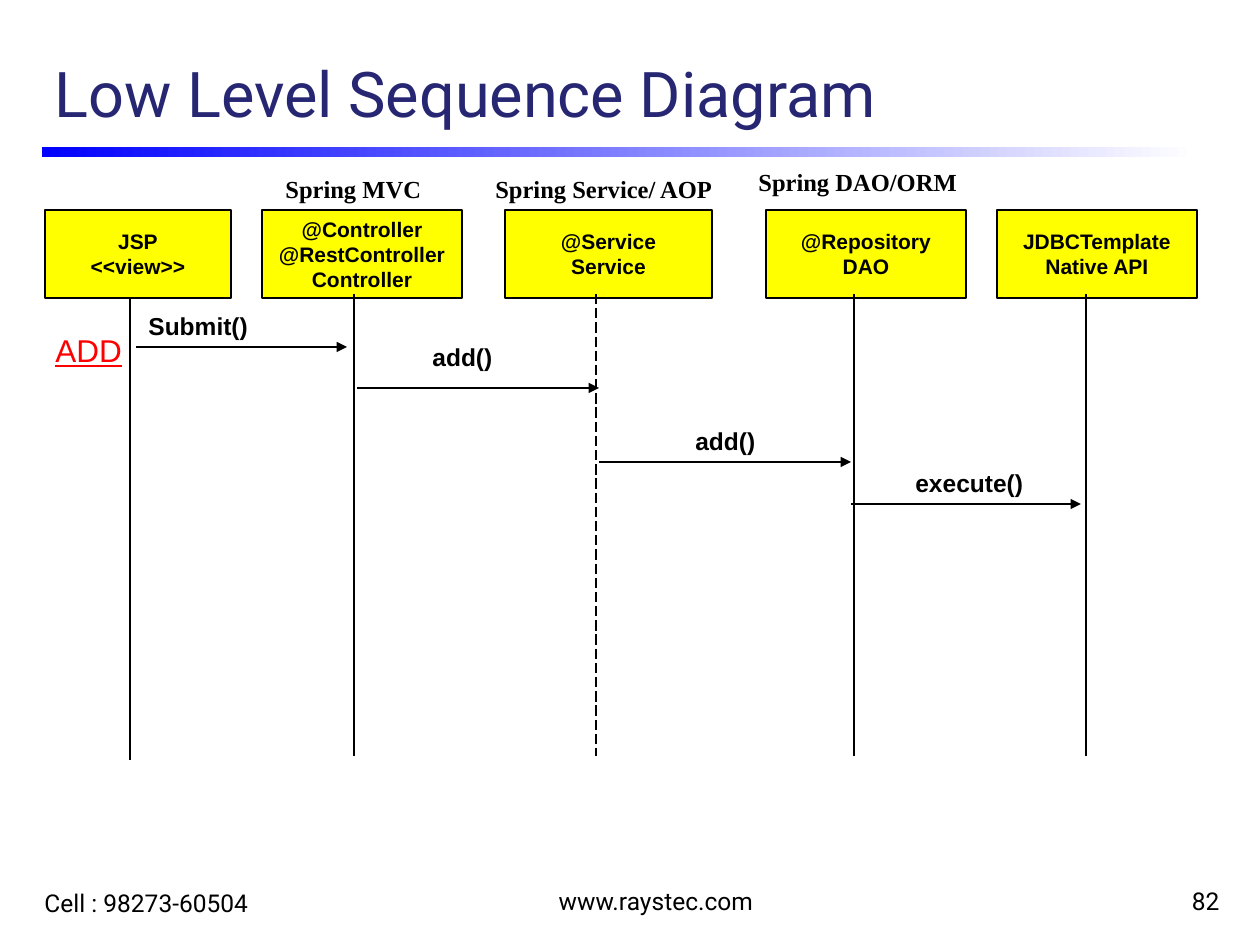
"""Build the low level sequence diagram slide."""
from typing import NamedTuple

from lxml import etree
from pptx import Presentation
from pptx.dml.color import RGBColor
from pptx.enum.dml import MSO_LINE
from pptx.enum.shapes import MSO_CONNECTOR, MSO_SHAPE
from pptx.enum.text import MSO_ANCHOR, MSO_AUTO_SIZE, PP_ALIGN
from pptx.oxml.ns import qn
from pptx.util import Emu, Pt

RECTANGLE = MSO_SHAPE.RECTANGLE
STRAIGHT = MSO_CONNECTOR.STRAIGHT
LONG_DASH = MSO_LINE.LONG_DASH
LEFT, CENTER, RIGHT = PP_ALIGN.LEFT, PP_ALIGN.CENTER, PP_ALIGN.RIGHT
TOP, MIDDLE, BOTTOM = MSO_ANCHOR.TOP, MSO_ANCHOR.MIDDLE, MSO_ANCHOR.BOTTOM
FIT_SHAPE, NO_FIT = MSO_AUTO_SIZE.SHAPE_TO_FIT_TEXT, MSO_AUTO_SIZE.NONE

EMU_PER_PX = 914400 / 126
SLIDE_SIZE = (1260, 945)
LABEL_HEIGHT = 43
BOX_TOP, BOX_HEIGHT = 210, 88
LIFELINE_LENGTH = 462
COLORS = {
    "ink": "000000",
    "title": "262673",
    "box": "FFFF00",
    "action": "FF0000",
    "bar_start": "0000FF",
    "bar_end": "FFFFFF",
}


class Style(NamedTuple):
    """Type style of a text."""
    font: str
    size: int
    bold: bool = False
    color: str = "ink"
    underline: bool = False


class Label(NamedTuple):
    """Text placed freely on the page."""
    text: str
    left: int
    top: int
    width: int
    height: int
    style: Style
    align: PP_ALIGN = LEFT
    anchor: MSO_ANCHOR = TOP
    fit: MSO_AUTO_SIZE = FIT_SHAPE
    wrap: bool = True


class Participant(NamedTuple):
    """Yellow box with its lifeline."""
    lines: tuple[str, ...]
    left: int
    width: int
    lifeline_x: int
    lifeline_top: int = 294
    dashed: bool = False


class Message(NamedTuple):
    """Horizontal arrow between two lifelines."""
    start: int
    end: int
    y: int


TITLE = Style("Roboto", 36, color="title")
FOOTER = Style("Roboto", 14)
CALL = Style("Arial", 14, bold=True)
LAYER = Style("Times New Roman", 14, bold=True)
BOX = Style("Arial", 12, bold=True)
ACTION = Style("Arial", 18, color="action", underline=True)

LABELS = (
    Label("Cell : 98273-60504", 32, 892, 262, 32, FOOTER, LEFT, BOTTOM, NO_FIT),
    Label("www.raystec.com", 336, 892, 640, 30, FOOTER, CENTER, BOTTOM, NO_FIT),
    Label("82", 1008, 892, 224, 30, FOOTER, RIGHT, BOTTOM, NO_FIT),
    Label("Low Level Sequence Diagram", 42, 29, 1191, 107, TITLE, LEFT, BOTTOM, NO_FIT),
    Label("Spring MVC", 273, 168, 231, LABEL_HEIGHT, LAYER),
    Label("Spring Service/ AOP", 483, 168, 252, LABEL_HEIGHT, LAYER),
    Label("Spring DAO/ORM", 746, 161, 231, LABEL_HEIGHT, LAYER),
    Label("ADD", 43, 325, 92, 50, ACTION, wrap=False),
    Label("Submit()", 136, 305, 168, LABEL_HEIGHT, CALL),
    Label("add()", 420, 336, 168, LABEL_HEIGHT, CALL),
    Label("add()", 683, 420, 136, LABEL_HEIGHT, CALL),
    Label("execute()", 903, 462, 136, LABEL_HEIGHT, CALL),
)
PARTICIPANTS = (
    Participant(("JSP", "<<view>>"), 45, 186, 130, lifeline_top=298),
    Participant(("@Controller", "@RestController", "Controller"), 262, 200, 354),
    Participant(("@Service", "Service"), 505, 207, 596, dashed=True),
    Participant(("@Repository", "DAO"), 766, 200, 854),
    Participant(("JDBCTemplate", "Native API"), 997, 200, 1086),
)
MESSAGES = (
    Message(136, 347, 347),
    Message(357, 599, 388),
    Message(599, 851, 462),
    Message(851, 1081, 504),
)


def px(*lengths: int) -> list[Emu]:
    """Turn px lengths into EMU."""
    return [Emu(round(length * EMU_PER_PX)) for length in lengths]


def rgb(name: str) -> RGBColor:
    """Look up a named colour."""
    return RGBColor.from_string(COLORS[name])


def write(frame, lines: tuple[str, ...], style: Style, align: PP_ALIGN) -> None:
    """Write one styled paragraph per line."""
    for index, line in enumerate(lines):
        paragraph = frame.add_paragraph() if index else frame.paragraphs[0]
        paragraph.text = line
        paragraph.alignment = align
        font = paragraph.font
        font.name, font.size = style.font, Pt(style.size)
        font.bold, font.underline = style.bold, style.underline
        font.color.rgb = rgb(style.color)


def draw_label(shapes, label: Label) -> None:
    """Add a text box for a label."""
    box = shapes.add_textbox(*px(label.left, label.top, label.width, label.height))
    frame = box.text_frame
    frame.word_wrap = label.wrap
    frame.auto_size = label.fit
    frame.vertical_anchor = label.anchor
    write(frame, (label.text,), label.style, label.align)


def draw_line(shapes, x1: int, y1: int, x2: int, y2: int):
    """Add a thin line without a shadow and return it."""
    connector = shapes.add_connector(STRAIGHT, *px(x1, y1, x2, y2))
    connector.line.color.rgb = rgb("ink")
    connector.line.width = Pt(0.75)
    etree.SubElement(connector._element.spPr, qn("a:effectLst"))
    return connector


def draw_participant(shapes, participant: Participant) -> None:
    """Add a grouped box and lifeline."""
    members = shapes.add_group_shape().shapes
    box = members.add_shape(
        RECTANGLE, *px(participant.left, BOX_TOP, participant.width, BOX_HEIGHT))
    box.shadow.inherit = False
    box.fill.solid()
    box.fill.fore_color.rgb = rgb("box")
    box.line.color.rgb = rgb("ink")
    box.line.width = Pt(0.75)
    box.text_frame.word_wrap = False
    box.text_frame.vertical_anchor = MIDDLE
    write(box.text_frame, participant.lines, BOX, CENTER)
    x, top = participant.lifeline_x, participant.lifeline_top
    lifeline = draw_line(members, x, top, x, top + LIFELINE_LENGTH)
    if participant.dashed:
        lifeline.line.dash_style = LONG_DASH


def draw_message(shapes, message: Message) -> None:
    """Add an arrow for a message."""
    arrow = draw_line(shapes, message.start, message.y, message.end, message.y)
    etree.SubElement(arrow.line._get_or_add_ln(), qn("a:tailEnd"), type="triangle")


def draw_title_bar(shapes) -> None:
    """Add the fading bar under the title."""
    bar = shapes.add_shape(RECTANGLE, *px(42, 147, 1154, 10))
    bar.shadow.inherit = False
    bar.line.fill.background()
    bar.fill.gradient()
    bar.fill.gradient_angle = 0
    for stop, name in zip(bar.fill.gradient_stops, ("bar_start", "bar_end")):
        stop.color.rgb = rgb(name)


def main() -> None:
    """Build and save the deck."""
    deck = Presentation()
    deck.slide_width, deck.slide_height = px(*SLIDE_SIZE)
    page = deck.slides.add_slide(deck.slide_layouts[6])
    draw_title_bar(page.shapes)
    for participant in PARTICIPANTS:
        draw_participant(page.shapes, participant)
    for message in MESSAGES:
        draw_message(page.shapes, message)
    for label in LABELS:
        draw_label(page.shapes, label)
    deck.save("out.pptx")


if __name__ == "__main__":
    main()
